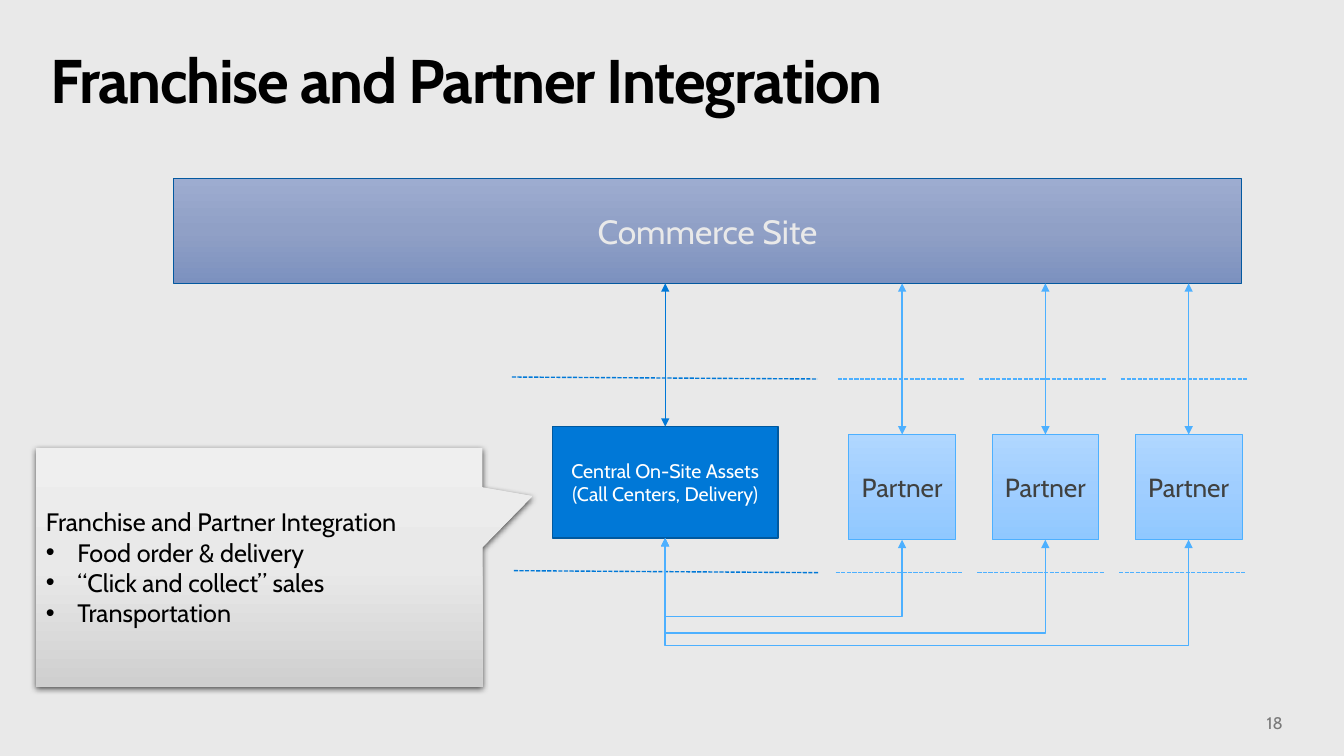
from copy import deepcopy
from lxml.etree import SubElement
from pptx import Presentation
from pptx.dml.color import RGBColor
from pptx.enum.dml import MSO_LINE
from pptx.enum.shapes import MSO_CONNECTOR as LINK, MSO_SHAPE as SHAPE
from pptx.enum.text import MSO_ANCHOR as ANCHOR, MSO_AUTO_SIZE as AUTO, PP_ALIGN as ALIGN
from pptx.oxml.ns import qn
from pptx.util import Cm, Pt

TITLE = "Franchise and Partner Integration"
PAGE = "18"
SITE = "Commerce Site"
HUB = "Central On-Site Assets\n(Call Centers, Delivery)"
PARTNERS = ["Partner", "Partner", "Partner"]
NOTE_HEAD = "Franchise and Partner Integration"
NOTE_ITEMS = ["Food order & delivery", "“Click and collect” sales", "Transportation"]

FONT = "Cabin"
BACKDROP, BLUE, SKY = "E9E9E9", "0078D7", "4DB0FF"
SITE_FILL = ["9DACD0", "90A0C6", "7C91BF"]
PARTNER_FILL = ["B0D7FF", "A0CEFF", "90C8FF"]
NOTE_FILL = ["EFEFEF", "E9E9E9", "CFCFCF"]

TITLE_BOX = (1.27, 1.27, 31.32, 1.98)
PAGE_BOX = (31.57, 17.96, 1.27, 1.02)
SITE_BOX = (4.37, 4.5, 26.92, 2.64)
HUB_BOX = (13.92, 10.75, 5.69, 2.81)
NOTE_BOX = (0.91, 11.28, 11.25, 6.02)
PARTNER_LEFT, PARTNER_TOP, PARTNER_W, PARTNER_H = 21.39, 10.95, 2.69, 2.65
PARTNER_PITCH = 3.61
TURNS = [15.54, 15.95, 16.26]
HUB_BORDERS = [(12.9, 9.5, 20.6, 9.55), (12.95, 14.38, 20.62, 14.43)]
PARTNER_BORDERS = [(21.11, 9.55), (21.06, 14.43)]
BORDER_LENGTH, BORDER_PITCH = 3.2, 3.57
NOTE_INDENT = 0.79


def rgb(color):
    return RGBColor.from_string(color)


def apply(target, **values):
    for key, value in values.items():
        setattr(target, key, value)


def write(paragraph, text, size, color, align=ALIGN.LEFT, bold=False):
    paragraph.text = text
    paragraph.alignment = align
    apply(paragraph.font, name=FONT, size=Pt(size), bold=bold)
    paragraph.font.color.rgb = rgb(color)
    for run in paragraph.runs:
        apply(run.font, name=FONT, size=Pt(size), bold=bold)
        run.font.color.rgb = rgb(color)


def paint(shape, colors):
    if len(colors) == 1:
        shape.fill.solid()
        shape.fill.fore_color.rgb = rgb(colors[0])
        return
    shape.fill.gradient()
    shape.fill.gradient_angle = 270
    stop_list = shape._element.spPr.find(".//" + qn("a:gsLst"))
    stop_list.append(deepcopy(stop_list[0]))
    for stop, color, position in zip(shape.fill.gradient_stops, colors, (0, 0.5, 1)):
        stop.color.rgb = rgb(color)
        stop.position = position


def add_box(slide, kind, box, colors, border=None, border_width=1):
    shape = slide.shapes.add_shape(kind, *map(Cm, box))
    shape.shadow.inherit = False
    paint(shape, colors)
    if border:
        shape.line.color.rgb = rgb(border)
        shape.line.width = Pt(border_width)
    else:
        shape.line.fill.background()
    apply(shape.text_frame, word_wrap=True, vertical_anchor=ANCHOR.MIDDLE)
    return shape


def add_label(shape, text, size, color):
    write(shape.text_frame.paragraphs[0], text, size, color, ALIGN.CENTER)


def add_link(slide, kind, ends, color, arrows=False):
    link = slide.shapes.add_connector(kind, *map(Cm, ends))
    SubElement(link._element.spPr, qn("a:effectLst"))
    link.line.color.rgb = rgb(color)
    link.line.width = Pt(1)
    if arrows:
        for end in ("a:headEnd", "a:tailEnd"):
            SubElement(link.line._get_or_add_ln(), qn(end), type="triangle")
    else:
        link.line.dash_style = MSO_LINE.SQUARE_DOT
    return link


def add_site_arrow(slide, box, color):
    x = (box.left + box.width / 2) / Cm(1)
    ends = (x, box.top / Cm(1), x, SITE_BOX[1] + SITE_BOX[3])
    add_link(slide, LINK.STRAIGHT, ends, color, arrows=True).begin_connect(box, 0)


def add_hub_route(slide, partner, hub, turn):
    start_x, start_y = partner.left + partner.width // 2, partner.top + partner.height
    end_x, end_y = hub.left + hub.width // 2, hub.top + hub.height
    drop, span = start_y - end_y, start_x - end_x
    route = add_link(slide, LINK.ELBOW, (0, 0, 1, 1), SKY, arrows=True)
    route.begin_connect(partner, 2)
    route.end_connect(hub, 2)
    apply(route, left=(start_x + end_x - drop) // 2, top=(start_y + end_y - span) // 2,
          width=drop, height=span)
    frame = route._element.spPr.find(qn("a:xfrm"))
    frame.attrib.pop("flipV", None)
    frame.set("rot", "5400000")
    frame.set("flipH", "1")
    bend = -round((Cm(turn) - start_y) / drop * 100000)
    guides = route._element.spPr.find(".//" + qn("a:avLst"))
    SubElement(guides, qn("a:gd"), name="adj1", fmla=f"val {bend}")


def add_note(slide):
    note = add_box(slide, SHAPE.RECTANGULAR_CALLOUT, NOTE_BOX, NOTE_FILL)
    note.adjustments[0], note.adjustments[1] = 0.612, -0.297
    effects = note._element.spPr.find(qn("a:effectLst"))
    shadow = SubElement(effects, qn("a:outerShdw"), blurRad=str(Pt(4.5)), dist=str(Pt(1.5)),
                        dir="5400000", algn="t", rotWithShape="0")
    shade = SubElement(shadow, qn("a:srgbClr"), val="000000")
    SubElement(shade, qn("a:alpha"), val="63000")
    write(note.text_frame.paragraphs[0], NOTE_HEAD, 18, "000000")
    for item in NOTE_ITEMS:
        paragraph = note.text_frame.add_paragraph()
        props = paragraph._p.get_or_add_pPr()
        props.set("marL", str(Cm(NOTE_INDENT)))
        props.set("indent", str(-Cm(NOTE_INDENT)))
        SubElement(props, qn("a:buFont"), typeface="Arial")
        SubElement(props, qn("a:buChar"), char="•")
        write(paragraph, item, 18, "000000")


def add_title(slide):
    title = slide.shapes.title
    apply(title, **dict(zip(("left", "top", "width", "height"), map(Cm, TITLE_BOX))))
    apply(title.text_frame, margin_left=0, margin_top=0, margin_right=0, margin_bottom=0,
          word_wrap=True, auto_size=AUTO.NONE, vertical_anchor=ANCHOR.TOP)
    heading = title.text_frame.paragraphs[0]
    write(heading, TITLE, 44, "000000", bold=True)
    heading.line_spacing = 0.9
    heading.runs[0]._r.get_or_add_rPr().set("spc", "-100")


def add_page_number(slide):
    frame = slide.shapes.add_textbox(*map(Cm, PAGE_BOX)).text_frame
    apply(frame, margin_right=Cm(0.51), margin_bottom=Cm(0.51), word_wrap=True,
          vertical_anchor=ANCHOR.BOTTOM)
    write(frame.paragraphs[0], PAGE, 12, "797979", ALIGN.RIGHT)


def main():
    deck = Presentation()
    apply(deck, slide_width=Cm(33.87), slide_height=Cm(19.05))
    slide = deck.slides.add_slide(deck.slide_layouts[5])
    slide.background.fill.solid()
    slide.background.fill.fore_color.rgb = rgb(BACKDROP)
    add_title(slide)
    add_page_number(slide)

    hub = add_box(slide, SHAPE.RECTANGLE, HUB_BOX, [BLUE], "00599F")
    add_label(hub, HUB, 14, "FFFFFF")
    site = add_box(slide, SHAPE.RECTANGLE, SITE_BOX, SITE_FILL, "0359A0", 0.5)
    add_label(site, SITE, 24, "E9E9E9")

    for ends in HUB_BORDERS:
        add_link(slide, LINK.STRAIGHT, ends, BLUE)
    add_site_arrow(slide, hub, BLUE)

    for i, (name, turn) in enumerate(zip(PARTNERS, TURNS)):
        for left, y in PARTNER_BORDERS:
            x = left + i * BORDER_PITCH
            add_link(slide, LINK.STRAIGHT, (x, y, x + BORDER_LENGTH, y), SKY)
        box = (PARTNER_LEFT + i * PARTNER_PITCH, PARTNER_TOP, PARTNER_W, PARTNER_H)
        partner = add_box(slide, SHAPE.RECTANGLE, box, PARTNER_FILL, SKY, 0.5)
        add_label(partner, name, 18.7, "404140")
        add_site_arrow(slide, partner, SKY)
        add_hub_route(slide, partner, hub, turn)

    add_note(slide)
    deck.save("out.pptx")


if __name__ == "__main__":
    main()
